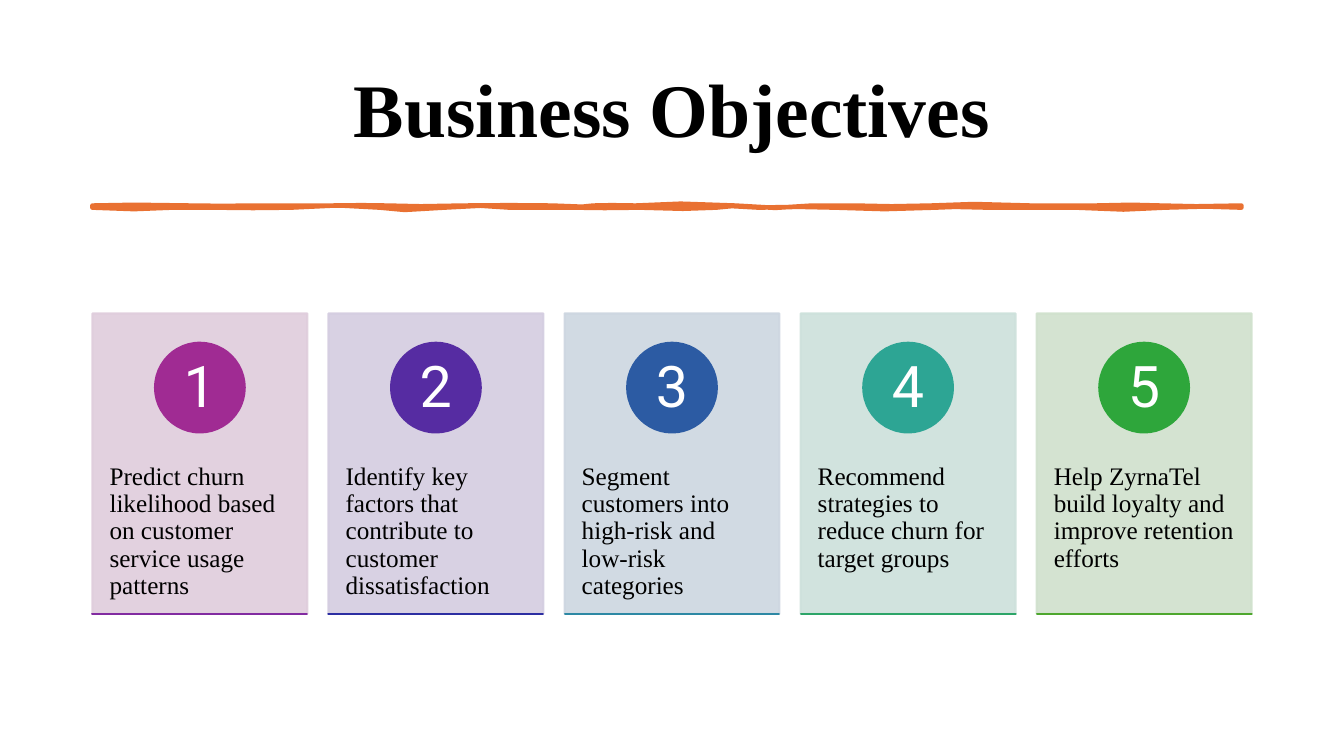
from lxml import etree
from pptx import Presentation
from pptx.dml.color import RGBColor
from pptx.enum.shapes import MSO_SHAPE
from pptx.enum.text import MSO_ANCHOR, PP_ALIGN
from pptx.oxml.ns import qn
from pptx.util import Inches, Pt

RECT, OVAL = MSO_SHAPE.RECTANGLE, MSO_SHAPE.OVAL
LEFT, CENTER = PP_ALIGN.LEFT, PP_ALIGN.CENTER
TOP, MIDDLE = MSO_ANCHOR.TOP, MSO_ANCHOR.MIDDLE
BLACK = RGBColor(0x00, 0x00, 0x00)
WHITE = RGBColor(0xFF, 0xFF, 0xFF)
ORANGE = RGBColor(0xE9, 0x71, 0x32)
SERIF, SANS = "Times New Roman", "Roboto"
MARGIN = 11 / 12

CARDS = [
    ("Predict churn likelihood based on customer service usage patterns",
     RGBColor(0xDF, 0xCD, 0xDC), RGBColor(0xA0, 0x2B, 0x93), RGBColor(0x82, 0x2B, 0xA1)),
    ("Identify key factors that contribute to customer dissatisfaction",
     RGBColor(0xD4, 0xCD, 0xE0), RGBColor(0x56, 0x2C, 0xA2), RGBColor(0x2C, 0x2E, 0xA2)),
    ("Segment customers into high-risk and low-risk categories",
     RGBColor(0xCD, 0xD6, 0xE0), RGBColor(0x2C, 0x5B, 0xA3), RGBColor(0x2D, 0x88, 0xA4)),
    ("Recommend strategies to reduce churn for target groups",
     RGBColor(0xCD, 0xE1, 0xDB), RGBColor(0x2D, 0xA5, 0x94), RGBColor(0x2D, 0xA5, 0x68)),
    ("Help ZyrnaTel build loyalty and improve retention efforts",
     RGBColor(0xD0, 0xE1, 0xCD), RGBColor(0x2E, 0xA6, 0x3B), RGBColor(0x4E, 0xA7, 0x2E)),
]

UPPER = [
    (0.27, 0, 0.52, -0.02, 0.98), (1.45, 0.02, 1.28, -0.01, 1.52),
    (1.75, 0.01, 2.11, -0.01, 2.39), (2.68, 0.01, 2.67, -0.02, 2.92),
    (3.18, 0.02, 3.31, 0, 3.68), (4.06, 0, 4.22, -0.01, 4.56),
    (4.89, 0.01, 4.89, 0.02, 4.97), (5.06, -0.02, 5.23, 0.01, 5.39),
    (5.55, -0.01, 6.09, -0.04, 6.38), (6.67, 0.04, 6.89, 0.02, 7.14),
    (7.39, -0.02, 7.35, 0.02, 7.56), (7.76, -0.02, 8.09, 0.04, 8.32),
    (8.55, -0.04, 8.9, 0, 9.31), (9.71, 0, 9.71, 0, 9.95),
    (10.2, 0, 10.44, -0.02, 10.6), (10.76, 0.02, 11.11, 0, 11.4),
]
LOWER = [
    (11.13, 0, 10.97, -0.03, 10.64), (10.3, 0.03, 10.18, 0.02, 9.76),
    (9.35, -0.02, 9.31, 0.02, 8.89), (8.47, -0.02, 8.6, 0, 8.36),
    (8.12, 0, 7.59, 0.04, 7.37), (7.14, -0.04, 6.9, 0.02, 6.61),
    (6.32, -0.02, 6.33, -0.02, 6.19), (6.06, 0.02, 5.69, 0.01, 5.43),
    (5.17, -0.01, 4.98, 0.02, 4.78), (4.59, -0.02, 4.36, 0.02, 4.14),
    (3.91, -0.02, 3.81, -0.03, 3.49), (3.17, 0.03, 2.98, 0.03, 2.85),
    (2.71, -0.03, 2.18, -0.03, 1.97), (1.76, 0.03, 1.43, -0.02, 1.21),
    (1, 0.02, 0.97, -0.02, 0.79), (0.62, 0.02, 0.22, 0.02, 0),
]


def write(slide, text, box, size, font=SERIF, color=BLACK, bold=False,
          align=LEFT, anchor=TOP, pad=(0.1, 0.05)):
    """Add a text box with one formatted paragraph."""
    frame = slide.shapes.add_textbox(*map(Inches, box)).text_frame
    frame.word_wrap = True
    frame.vertical_anchor = anchor
    frame.margin_left = frame.margin_right = Inches(pad[0])
    frame.margin_top = frame.margin_bottom = Inches(pad[1])
    para = frame.paragraphs[0]
    para.alignment = align
    para.line_spacing = 0.9
    run = para.add_run()
    run.text = text
    run.font.name = font
    run.font.size = Pt(size)
    run.font.bold = bold
    run.font.color.rgb = color


def paint(shape, color, width=1.5, alpha=None):
    """Give a shape one colour for fill and line."""
    shape.shadow.inherit = False
    shape.fill.solid()
    shape.fill.fore_color.rgb = color
    shape.line.color.rgb = color
    shape.line.width = Pt(width)
    if alpha:
        for node in shape.element.spPr.iter(qn("a:srgbClr")):
            etree.SubElement(node, qn("a:alpha")).set("val", str(alpha * 1000))


def block(slide, kind, box, color, alpha=None):
    """Add a preset shape in one colour."""
    shape = slide.shapes.add_shape(kind, *map(Inches, box))
    paint(shape, color, alpha=alpha)


def curve(start, rows, base, steps=2):
    """Return points along a chain of cubic curves that meet at one height."""
    points = []
    for x1, y1, x2, y2, end in rows:
        for step in range(1, steps + 1):
            t = step / steps
            u = 1 - t
            a, b = 3 * u * u * t, 3 * u * t * t
            points.append((u ** 3 * start + a * x1 + b * x2 + t ** 3 * end,
                           base + a * y1 + b * y2))
        start = end
    return points


def stroke(slide, left, top, width, height):
    """Draw the hand-drawn rule below the title."""
    points = curve(0, UPPER, 0) + [(width, height)] + curve(width, LOWER, height)
    path = slide.shapes.build_freeform(Inches(left), Inches(top), scale=1.0)
    path.add_line_segments(
        [(Inches(left + x), Inches(top + y)) for x, y in points], close=True)
    paint(path.convert_to_shape(), ORANGE, 3.25)


def card(slide, left, top, width, height, number, text, tint, disc, edge):
    """Draw one numbered objective."""
    size, inner = 0.89, 0.63
    block(slide, RECT, (left, top, width, height), tint, alpha=90)
    write(slide, text, (left, top + 1.13, width, 1.79), 18, pad=(0.17, 0.36))
    block(slide, OVAL, (left + (width - size) / 2, top + 0.29, size, size), disc)
    write(slide, str(number),
          (left + (width - inner) / 2, top + 0.43, inner, inner), 41, font=SANS,
          color=WHITE, align=CENTER, anchor=MIDDLE, pad=(0.07, 0.01))
    block(slide, RECT, (left, top + height, width, 0), edge)


def row(slide, left, top, width, height, gap):
    """Lay out the objectives in equal columns."""
    wide = (width - gap * (len(CARDS) - 1)) / len(CARDS)
    for i, parts in enumerate(CARDS):
        card(slide, left + i * (wide + gap), top, wide, height, i + 1, *parts)


def main():
    """Build and save the slide."""
    deck = Presentation()
    deck.slide_width, deck.slide_height = Inches(40 / 3), Inches(7.5)
    slide = deck.slides.add_slide(deck.slide_layouts[6])
    write(slide, "Business Objectives", (MARGIN, 0.4, 11.5, 1.45), 54,
          bold=True, align=CENTER, anchor=MIDDLE)
    stroke(slide, MARGIN, 2.04, 11.4, 0.02)
    row(slide, MARGIN, 3.11, 11.5, 2.98, 0.21)
    deck.save("out.pptx")


if __name__ == "__main__":
    main()
